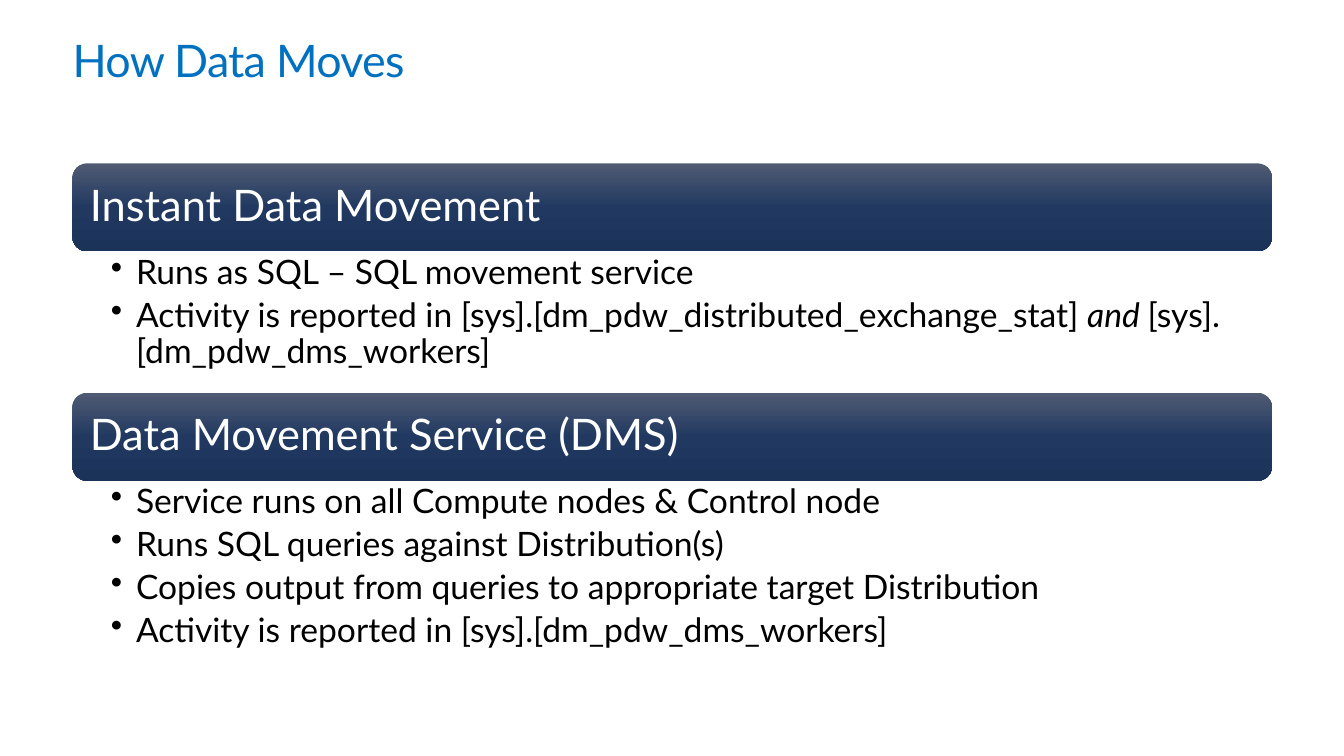
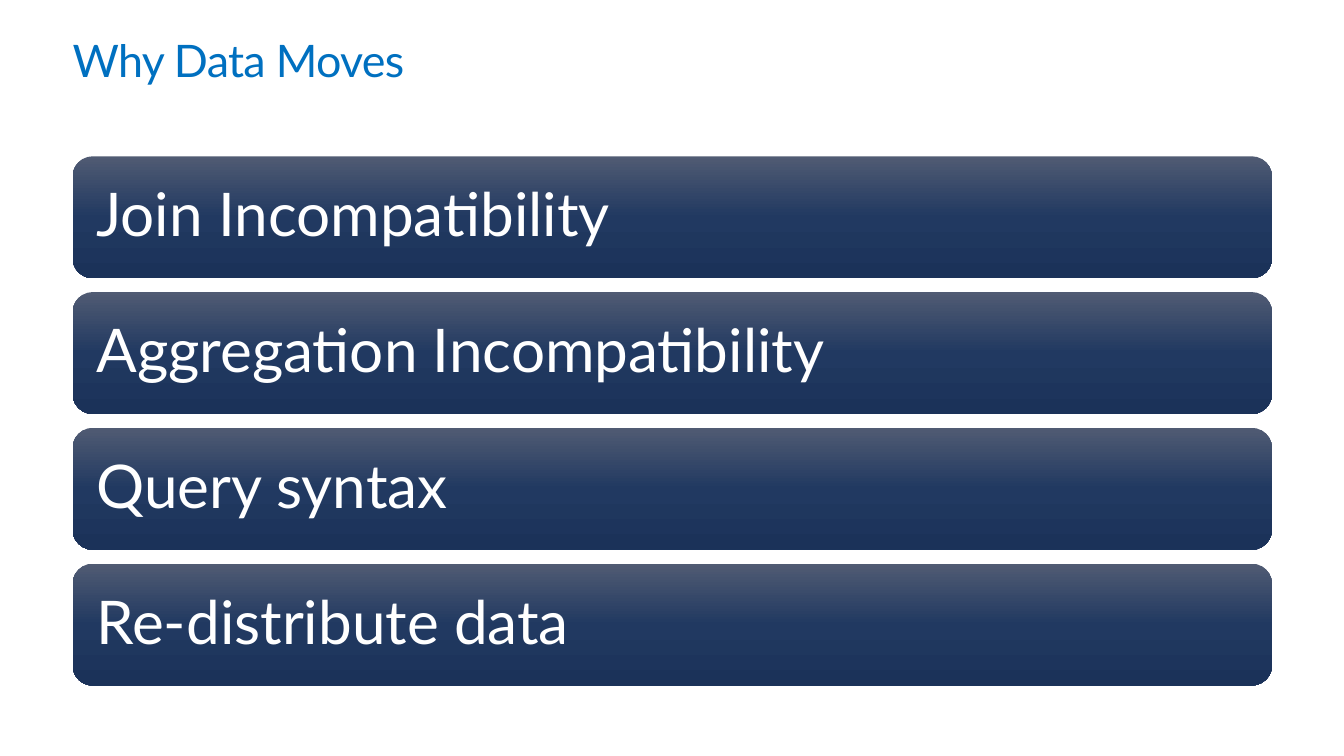
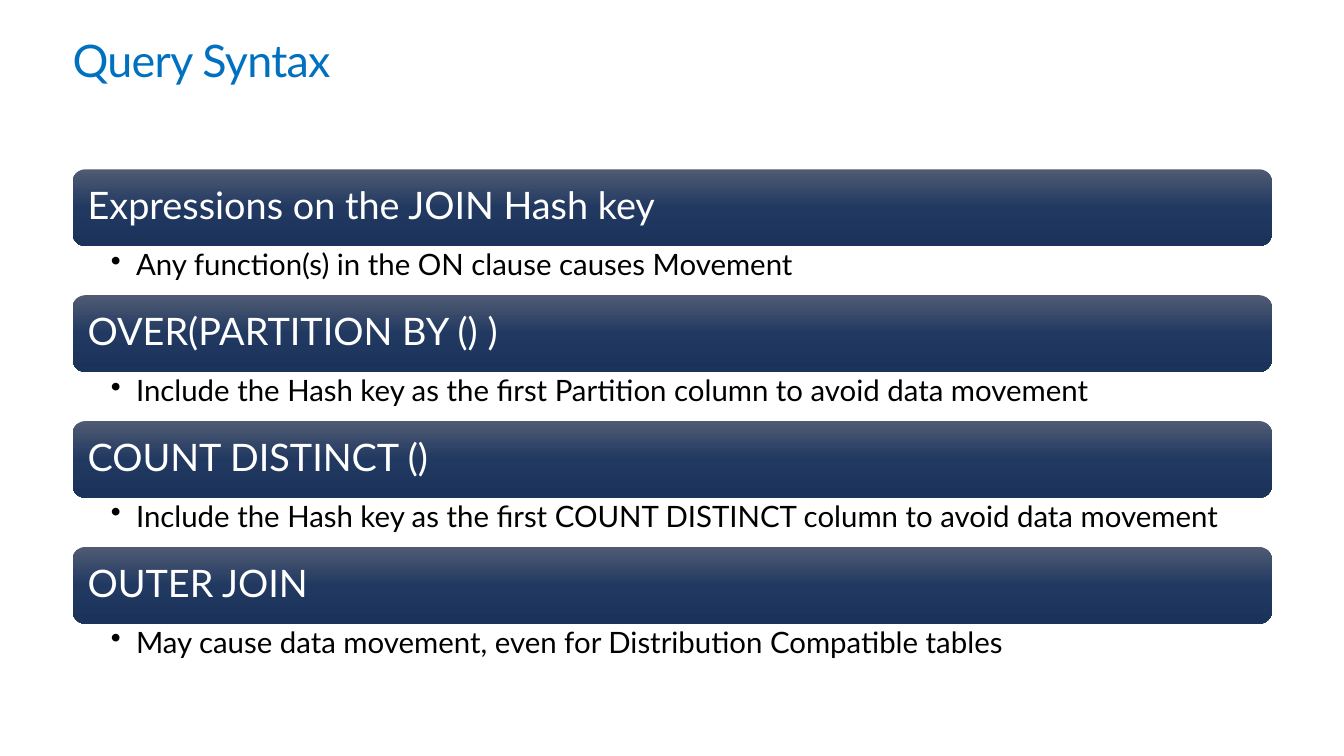
from copy import deepcopy

from pptx import Presentation
from pptx.dml.color import RGBColor
from pptx.enum.shapes import MSO_SHAPE
from pptx.enum.text import MSO_ANCHOR, MSO_AUTO_SIZE, PP_ALIGN
from pptx.oxml.ns import qn
from pptx.util import Inches, Pt

TITLE_BLUE = RGBColor(0x00, 0x70, 0xC0)
WHITE = RGBColor(0xFF, 0xFF, 0xFF)
BLACK = RGBColor(0x00, 0x00, 0x00)
BAND_STOPS = [
    (0, RGBColor(0x50, 0x5B, 0x73)),
    (0.5, RGBColor(0x21, 0x39, 0x61)),
    (1, RGBColor(0x1B, 0x32, 0x59)),
]
FONT = "Lato"
TITLE_ONLY = 5

# Shared column, in percent of the slide width
LEFT, WIDTH = 5.4, 89.25


def write(para, text, size, color, italic=False, tracking=None):
    """Add one formatted span to a paragraph."""
    span = para.add_run()
    span.text = text
    span.font.name = FONT
    span.font.size = Pt(size)
    span.font.color.rgb = color
    span.font.italic = italic
    if tracking is not None:
        span.font._element.set("spc", str(int(tracking * 100)))


def add_bullet(para, hanging):
    """Give a paragraph a round bullet with a hanging indent."""
    props = para._p.get_or_add_pPr()
    props.set("marL", str(hanging))
    props.set("indent", str(-hanging))
    props.append(props.makeelement(qn("a:buChar"), {"char": "•"}))


class DeckBuilder:
    """Holds the deck, its style and the current page; lengths are percents."""

    def __init__(self):
        self.deck = Presentation()
        self.deck.slide_width = Inches(13.33)
        self.deck.slide_height = Inches(7.5)
        self.page = None

    def area(self, top, height):
        """Left, top, width and height of a strip across the shared column."""
        across, down = self.deck.slide_width / 100, self.deck.slide_height / 100
        return [int(n) for n in (LEFT * across, top * down, WIDTH * across, height * down)]

    def frame(self, shape, insets, anchor=MSO_ANCHOR.TOP):
        frame = shape.text_frame
        frame.word_wrap = True
        frame.vertical_anchor = anchor
        (frame.margin_left, frame.margin_top,
         frame.margin_right, frame.margin_bottom) = insets
        return frame

    def new_page(self, title):
        self.page = self.deck.slides.add_slide(self.deck.slide_layouts[TITLE_ONLY])
        box = self.page.shapes.title
        box.left, box.top, box.width, box.height = self.area(4.67, 6.67)
        frame = self.frame(box, [0] * 4)
        frame.auto_size = MSO_AUTO_SIZE.SHAPE_TO_FIT_TEXT
        para = frame.paragraphs[0]
        para.alignment = PP_ALIGN.LEFT
        para.line_spacing = Pt(36.2)
        write(para, title, size=32, color=TITLE_BLUE, tracking=-0.5)

    def band(self, text, top, height, size):
        """Rounded gradient bar with a heading."""
        bar = self.page.shapes.add_shape(MSO_SHAPE.ROUNDED_RECTANGLE, *self.area(top, height))
        bar.shadow.inherit = False
        bar.line.fill.background()
        bar.fill.gradient()
        bar.fill.gradient_angle = 270
        stop_list = bar._element.spPr.find(".//" + qn("a:gsLst"))
        stop_list.append(deepcopy(stop_list[0]))
        for stop, (position, color) in zip(bar.fill.gradient_stops, BAND_STOPS):
            stop.position = position
            stop.color.rgb = color
        frame = self.frame(bar, [Pt(size * 0.3)] * 4, MSO_ANCHOR.MIDDLE)
        para = frame.paragraphs[0]
        para.alignment = PP_ALIGN.LEFT
        para.line_spacing = 0.9
        write(para, text, size=size, color=WHITE)

    def bullets(self, items, top, height, size):
        """Bulleted box; an item is a text or a list of (text, italic) spans."""
        box = self.page.shapes.add_textbox(*self.area(top, height))
        insets = [Inches(n) for n in (0.38, 0.04, size / 100, 0.04)]
        frame = self.frame(box, insets)
        for index, item in enumerate(items):
            para = frame.add_paragraph() if index else frame.paragraphs[0]
            para.level = 1
            para.line_spacing = 0.9
            para.space_after = Pt(size * 0.2)
            add_bullet(para, Inches(0.25))
            spans = [(item, False)] if isinstance(item, str) else item
            for text, italic in spans:
                write(para, text, size=size, color=BLACK, italic=italic)

    def stack(self, sections, top, band_height, band_size, bullet_size=None):
        """Stack bands downward, each followed by a gap that may hold bullets."""
        for heading, items, gap in sections:
            self.band(heading, top, band_height, band_size)
            top += band_height
            if items:
                self.bullets(items, top, gap, bullet_size)
            top += gap


def main():
    builder = DeckBuilder()

    # The two ways of moving data
    builder.new_page("How Data Moves")
    builder.stack([
        ("Instant Data Movement", [
            "Runs as SQL – SQL movement service",
            [("Activity is reported in [sys].[dm_pdw_distributed_exchange_stat] ", False),
             ("and ", True),
             ("[sys].[dm_pdw_dms_workers]", False)],
        ], 18.7),
        ("Data Movement Service (DMS)", [
            "Service runs on all Compute nodes & Control node",
            "Runs SQL queries against Distribution(s)",
            "Copies output from queries to appropriate target Distribution",
            "Activity is reported in [sys].[dm_pdw_dms_workers]",
        ], 26.1),
    ], top=21.6, band_height=11.65, band_size=31, bullet_size=24)

    # Reasons, as plain bands
    builder.new_page("Why Data Moves")
    reasons = ["Join Incompatibility", "Aggregation Incompatibility",
               "Query syntax", "Re-distribute data"]
    builder.stack([(reason, [], 1.83) for reason in reasons],
                  top=20.67, band_height=16.13, band_size=43)

    # Syntax cases with one remark each
    builder.new_page("Query Syntax")
    cases = [
        ("Expressions on the JOIN Hash key",
         "Any function(s) in the ON clause causes Movement"),
        ("OVER(PARTITION BY () )",
         "Include the Hash key as the first Partition column to avoid data movement"),
        ("COUNT DISTINCT ()",
         "Include the Hash key as the first COUNT DISTINCT column to avoid data movement"),
        ("OUTER JOIN",
         "May cause data movement, even for Distribution Compatible tables"),
    ]
    builder.stack([(case, [remark], 6.5) for case, remark in cases],
                  top=22.4, band_height=10.15, band_size=27, bullet_size=21)

    builder.deck.save("out.pptx")


if __name__ == "__main__":
    main()
